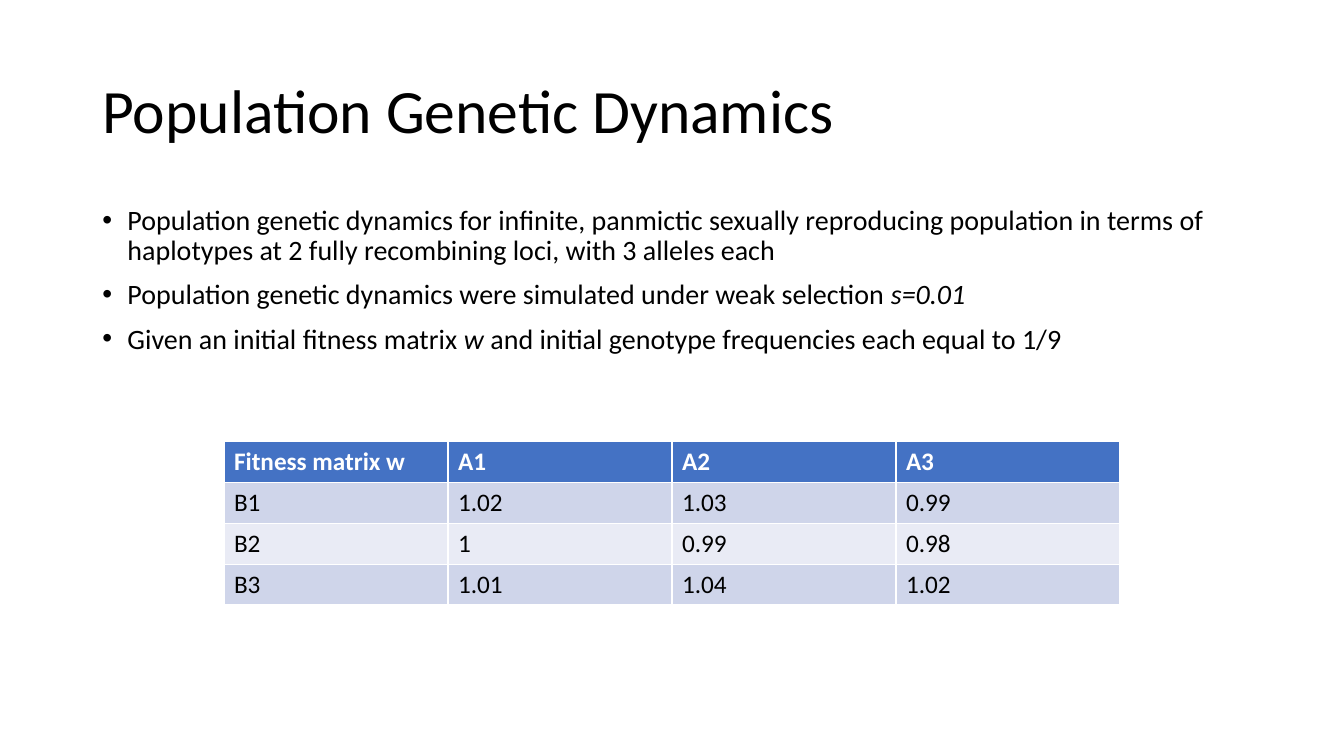
from lxml.etree import SubElement
from pptx import Presentation
from pptx.dml.color import RGBColor
from pptx.enum.text import MSO_ANCHOR
from pptx.oxml.ns import qn
from pptx.util import Pt

BLACK = RGBColor(0x00, 0x00, 0x00)
WHITE = RGBColor(0xFF, 0xFF, 0xFF)
HEADER_BLUE = RGBColor(0x44, 0x72, 0xC4)
BAND_DARK = RGBColor(0xCF, 0xD5, 0xEA)
BAND_LIGHT = RGBColor(0xE9, 0xEB, 0xF5)

# Each point is a list of (text, italic) pieces.
POINTS = [
    [("Population genetic dynamics for infinite, panmictic sexually reproducing "
      "population in terms of haplotypes at 2 fully recombining loci, "
      "with 3 alleles each", False)],
    [("Population genetic dynamics were simulated under weak selection ", False),
     ("s=0.01", True)],
    [("Given an initial fitness matrix ", False), ("w ", True),
     ("and initial genotype frequencies each equal to 1/9", False)],
]

FITNESS = [
    ["Fitness matrix w", "A1", "A2", "A3"],
    ["B1", "1.02", "1.03", "0.99"],
    ["B2", "1", "0.99", "0.98"],
    ["B3", "1.01", "1.04", "1.02"],
]


class SlideWriter:
    font_name = "Calibri"
    line_spacing = 0.9
    bullet_indent = 18

    def __init__(self, slide):
        self.slide = slide

    def style(self, run, size, color=BLACK, bold=False, italic=False):
        font = run.font
        font.name, font.size = self.font_name, Pt(size)
        font.bold, font.italic = bold, italic
        font.color.rgb = color

    def text_frame(self, left, top, width, height, anchor):
        box = self.slide.shapes.add_textbox(Pt(left), Pt(top), Pt(width), Pt(height))
        frame = box.text_frame
        frame.word_wrap = True
        frame.vertical_anchor = anchor
        return frame

    def title(self, text, left, top, width, height):
        frame = self.text_frame(left, top, width, height, MSO_ANCHOR.MIDDLE)
        frame.text = text
        heading = frame.paragraphs[0]
        heading.line_spacing = self.line_spacing
        self.style(heading.runs[0], 44)

    def bullets(self, points, left, top, width, height):
        frame = self.text_frame(left, top, width, height, MSO_ANCHOR.TOP)
        for index, pieces in enumerate(points):
            point = frame.add_paragraph() if index else frame.paragraphs[0]
            self.add_bullet(point)
            point.line_spacing = self.line_spacing
            if index:
                point.space_before = Pt(10)
            for text, italic in pieces:
                piece = point.add_run()
                piece.text = text
                self.style(piece, 20, italic=italic)

    def add_bullet(self, paragraph):
        properties = paragraph._p.get_or_add_pPr()
        properties.set("marL", str(Pt(self.bullet_indent)))
        properties.set("indent", str(-Pt(self.bullet_indent)))
        SubElement(properties, qn("a:buFont"), typeface="Arial")
        SubElement(properties, qn("a:buChar"), char="•")

    def table(self, rows, left, top, column_width, row_height):
        """Add a banded table; its white rules come from the default table style."""
        row_count, column_count = len(rows), len(rows[0])
        grid = self.slide.shapes.add_table(
            row_count, column_count, Pt(left), Pt(top),
            Pt(column_width * column_count), Pt(row_height * row_count)).table
        for r, values in enumerate(rows):
            header = r == 0
            band = HEADER_BLUE if header else BAND_DARK if r % 2 else BAND_LIGHT
            for c, value in enumerate(values):
                cell = grid.cell(r, c)
                cell.fill.solid()
                cell.fill.fore_color.rgb = band
                cell.text_frame.text = value
                self.style(cell.text_frame.paragraphs[0].runs[0], 18,
                           WHITE if header else BLACK, bold=header)


def main():
    presentation = Presentation()
    presentation.slide_width, presentation.slide_height = Pt(960), Pt(540)
    writer = SlideWriter(presentation.slides.add_slide(presentation.slide_layouts[6]))
    writer.title("Population Genetic Dynamics", 66, 28.75, 828, 104.4)
    writer.bullets(POINTS, 66, 143.75, 828, 342.6)
    writer.table(FITNESS, 160, 315.4, column_width=160, row_height=29.2)
    presentation.save("out.pptx")


if __name__ == "__main__":
    main()
